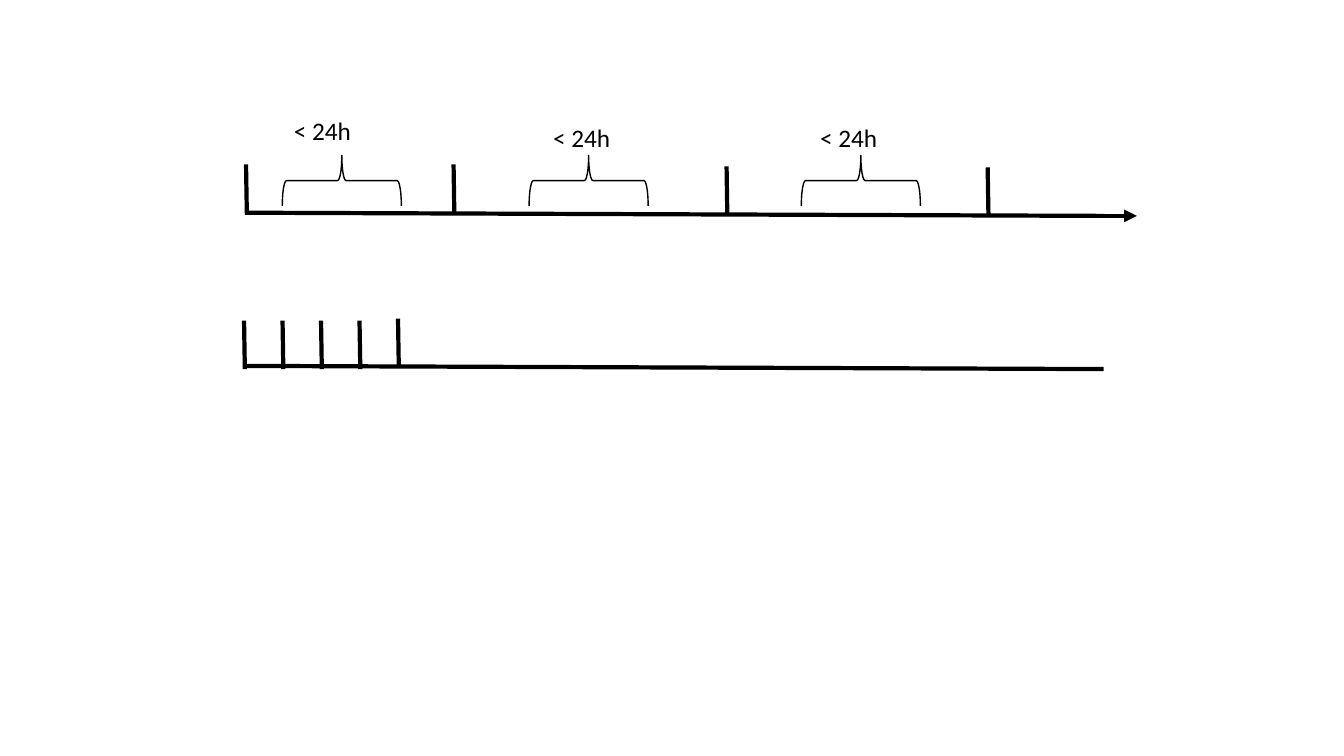
"""Draw two timelines: events under 24 hours apart, and closely spaced events."""
from lxml import etree
from pptx import Presentation
from pptx import util as u
from pptx.dml.color import RGBColor
from pptx.enum import shapes, text
from pptx.oxml.ns import qn

BLACK = "000000"
TICK_LEAN, TICK_HEIGHT = 0.02, 1.22


def color(value):
    return RGBColor.from_string(value)


def add_line(page, left, top, right, bottom, arrow=False):
    line = page.shapes.add_connector(
        shapes.MSO_CONNECTOR.STRAIGHT, u.Cm(left), u.Cm(top), u.Cm(right), u.Cm(bottom))
    line.line.color.rgb = color(BLACK)
    line.line.width = u.Pt(3)
    if arrow:
        etree.SubElement(line.line._get_or_add_ln(), qn("a:tailEnd"), type="triangle")
    etree.SubElement(line._element.spPr, qn("a:effectLst"))


deck = Presentation()
deck.slide_width, deck.slide_height = u.Cm(33.87), u.Cm(19.05)
page = deck.slides.add_slide(deck.slide_layouts[6])

add_line(page, 6.17, 5.36, 27.84, 5.44)
add_line(page, 26.62, 5.44, 28.65, 5.44, arrow=True)
add_line(page, 6.15, 9.22, 27.81, 9.3)

daily_ticks = [(6.2, 4.14), (11.43, 4.14), (18.31, 4.19), (24.89, 4.22)]
close_ticks = [(6.15 + 0.97 * step, 8.03 if step == 4 else 8.08) for step in range(5)]
for left, top in daily_ticks + close_ticks:
    add_line(page, left, top, left + TICK_LEAN, top + TICK_HEIGHT)

for left in (7.98, 14.2, 21.06):
    brace = page.shapes.add_shape(
        shapes.MSO_SHAPE.RIGHT_BRACE, u.Cm(left), u.Cm(3.05), u.Cm(1.27), u.Cm(3))
    brace.rotation = 270
    brace.shadow.inherit = False
    brace.fill.background()
    brace.line.color.rgb = color(BLACK)
    brace.line.width = u.Pt(1)

label_font = {"name": "Calibri", "size": u.Pt(18)}
for left, top in [(7.16, 2.79), (13.69, 2.95), (20.42, 2.95)]:
    box = page.shapes.add_textbox(u.Cm(left), u.Cm(top), u.Cm(2.84), u.Cm(1.02))
    box.text_frame.word_wrap = True
    box.text_frame.auto_size = text.MSO_AUTO_SIZE.SHAPE_TO_FIT_TEXT
    span = box.text_frame.paragraphs[0].add_run()
    span.text = "< 24h"
    for name, value in label_font.items():
        setattr(span.font, name, value)
    span.font.color.rgb = color(BLACK)

deck.save("out.pptx")
